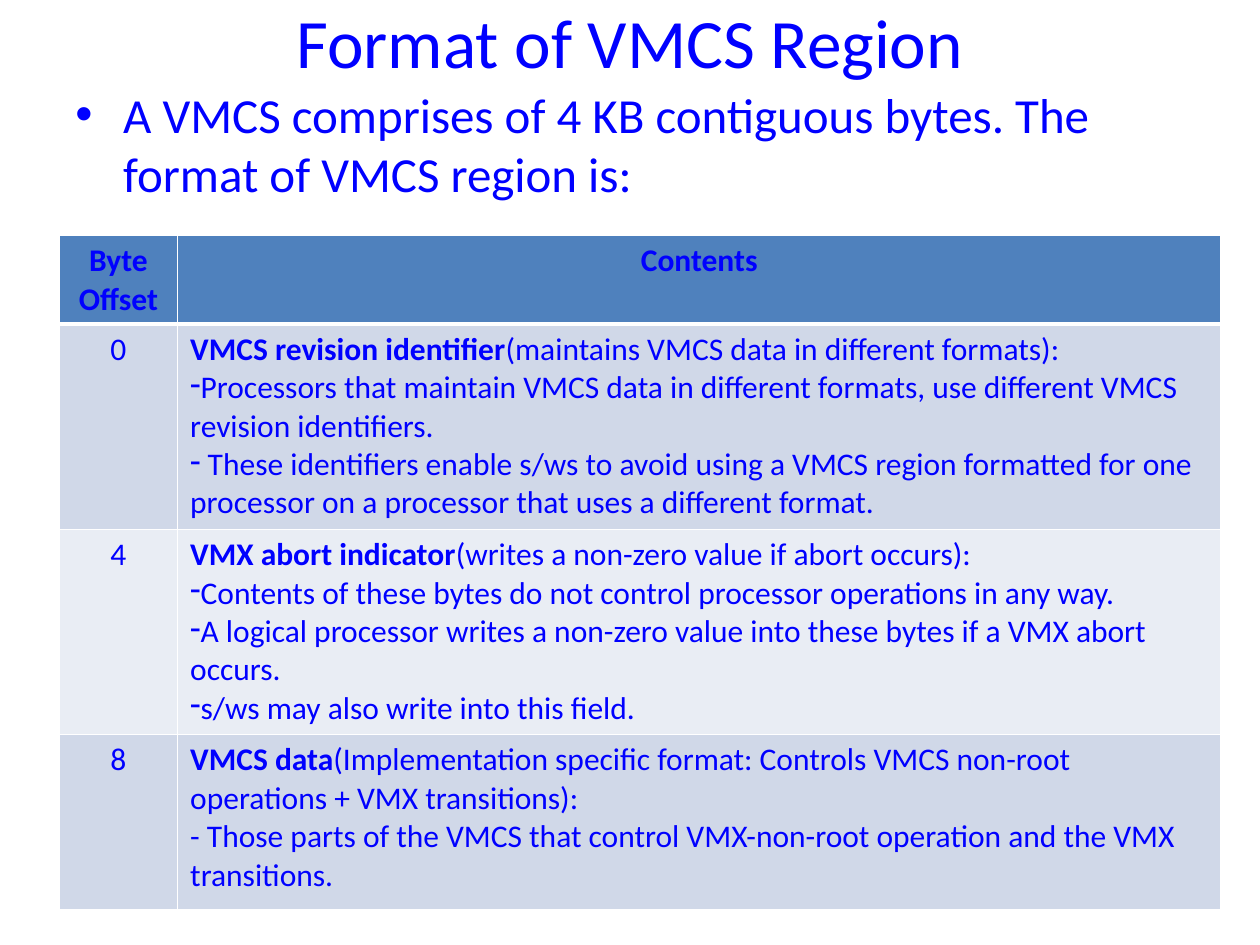
from lxml.etree import SubElement
from pptx import Presentation
from pptx.dml.color import RGBColor
from pptx.enum.text import MSO_ANCHOR, PP_ALIGN
from pptx.oxml.ns import qn
from pptx.util import Inches, Pt

FONT = "Calibri"
BLUE = "0000FF"
WHITE = "FFFFFF"
HEADER_FILL = "4F81BD"
BAND_FILLS = ("D0D8E8", "E9EDF4")
COLUMN_WIDTHS = (0.94, 8.28)
ROW_HEIGHTS = (0.7, 1.63, 1.63, 1.39)

# Byte offset, field name, summary, bullet sign, detail lines
FIELDS = (
    ("0", "VMCS revision identifier", "(maintains VMCS data in different formats):", "-",
     ("Processors that maintain VMCS data in different formats, use different VMCS "
      "revision identifiers.",
      " These identifiers enable s/ws to avoid using a VMCS region formatted for one "
      "processor on a processor that uses a different format.")),
    ("4", "VMX abort indicator", "(writes a non-zero value if abort occurs):", "-",
     ("Contents of these bytes do not control processor operations in any way.",
      "A logical processor writes a non-zero value into these bytes if a VMX abort occurs.",
      "s/ws may also write into this field.")),
    ("8", "VMCS data",
     "(Implementation specific format: Controls VMCS non-root operations + VMX transitions):",
     None,
     ("- Those parts of the VMCS that control VMX-non-root operation and the VMX transitions.",)),
)


def color(hex_value):
    return RGBColor.from_string(hex_value)


def add_text(paragraph, text, size=18, bold=False, align=None, bullet=None, indent=0):
    """Append a run; bullet and indent (inches) apply to its paragraph."""
    run = paragraph.add_run()
    run.text = text
    run.font.name = FONT
    run.font.size = Pt(size)
    run.font.bold = bold
    run.font.color.rgb = color(BLUE)
    if align is not None:
        paragraph.alignment = align
    if bullet:
        properties = paragraph._p.get_or_add_pPr()
        properties.set("marL", str(Inches(indent)))
        properties.set("indent", str(-Inches(indent)))
        if indent:
            SubElement(properties, qn("a:buFont"), typeface="Arial")
        SubElement(properties, qn("a:buChar"), char=bullet)


def add_text_frame(slide, left, top, width, height, anchor):
    box = slide.shapes.add_textbox(Inches(left), Inches(top), Inches(width), Inches(height))
    frame = box.text_frame
    frame.word_wrap = True
    frame.vertical_anchor = anchor
    return frame


def add_title(slide, left, top, width, height):
    frame = add_text_frame(slide, left, top, width, height, MSO_ANCHOR.MIDDLE)
    add_text(frame.paragraphs[0], "Format of VMCS Region", size=39.6, align=PP_ALIGN.CENTER)


def add_introduction(slide, left, top, width, height):
    frame = add_text_frame(slide, left, top, width, height, MSO_ANCHOR.TOP)
    paragraph = frame.paragraphs[0]
    paragraph.space_before = Pt(5.6)
    add_text(paragraph,
             "A VMCS comprises of 4 KB contiguous bytes. The format of VMCS region is:",
             size=28, bullet="•", indent=0.38)


def style_cell(cell, fill, bottom=1):
    """Draw white borders, the lower one bottom points wide, and fill the cell."""
    properties = cell._tc.get_or_add_tcPr()
    for tag, width in (("a:lnL", 1), ("a:lnR", 1), ("a:lnT", 1), ("a:lnB", bottom)):
        line = SubElement(properties, qn(tag), w=str(Pt(width)))
        SubElement(SubElement(line, qn("a:solidFill")), qn("a:srgbClr"), val=WHITE)
    cell.fill.solid()
    cell.fill.fore_color.rgb = color(fill)


def fill_contents(cell, name, summary, bullet, details):
    frame = cell.text_frame
    add_text(frame.paragraphs[0], name, bold=True)
    add_text(frame.paragraphs[0], summary)
    for detail in details:
        add_text(frame.add_paragraph(), detail, bullet=bullet)


def add_region_table(slide, left, top):
    table = slide.shapes.add_table(
        len(ROW_HEIGHTS), len(COLUMN_WIDTHS), Inches(left), Inches(top),
        Inches(sum(COLUMN_WIDTHS)), Inches(sum(ROW_HEIGHTS))).table
    for column, width in zip(table.columns, COLUMN_WIDTHS):
        column.width = Inches(width)
    for row, height in zip(table.rows, ROW_HEIGHTS):
        row.height = Inches(height)

    for cell, heading in zip(table.rows[0].cells, ("Byte Offset", "Contents")):
        style_cell(cell, HEADER_FILL, bottom=3)
        add_text(cell.text_frame.paragraphs[0], heading, bold=True, align=PP_ALIGN.CENTER)

    for index, (offset, *contents) in enumerate(FIELDS):
        offset_cell, contents_cell = table.rows[index + 1].cells
        for cell in (offset_cell, contents_cell):
            style_cell(cell, BAND_FILLS[index % 2])
        add_text(offset_cell.text_frame.paragraphs[0], offset, align=PP_ALIGN.CENTER)
        fill_contents(contents_cell, *contents)


def main():
    presentation = Presentation()
    presentation.slide_width = Inches(10)
    presentation.slide_height = Inches(7.5)
    slide = presentation.slides.add_slide(presentation.slide_layouts[6])
    add_title(slide, 0.5, 0.08, 9, 0.48)
    add_introduction(slide, 0.5, 0.62, 9, 6.72)
    add_region_table(slide, 0.47, 1.87)
    presentation.save("out.pptx")


if __name__ == "__main__":
    main()
